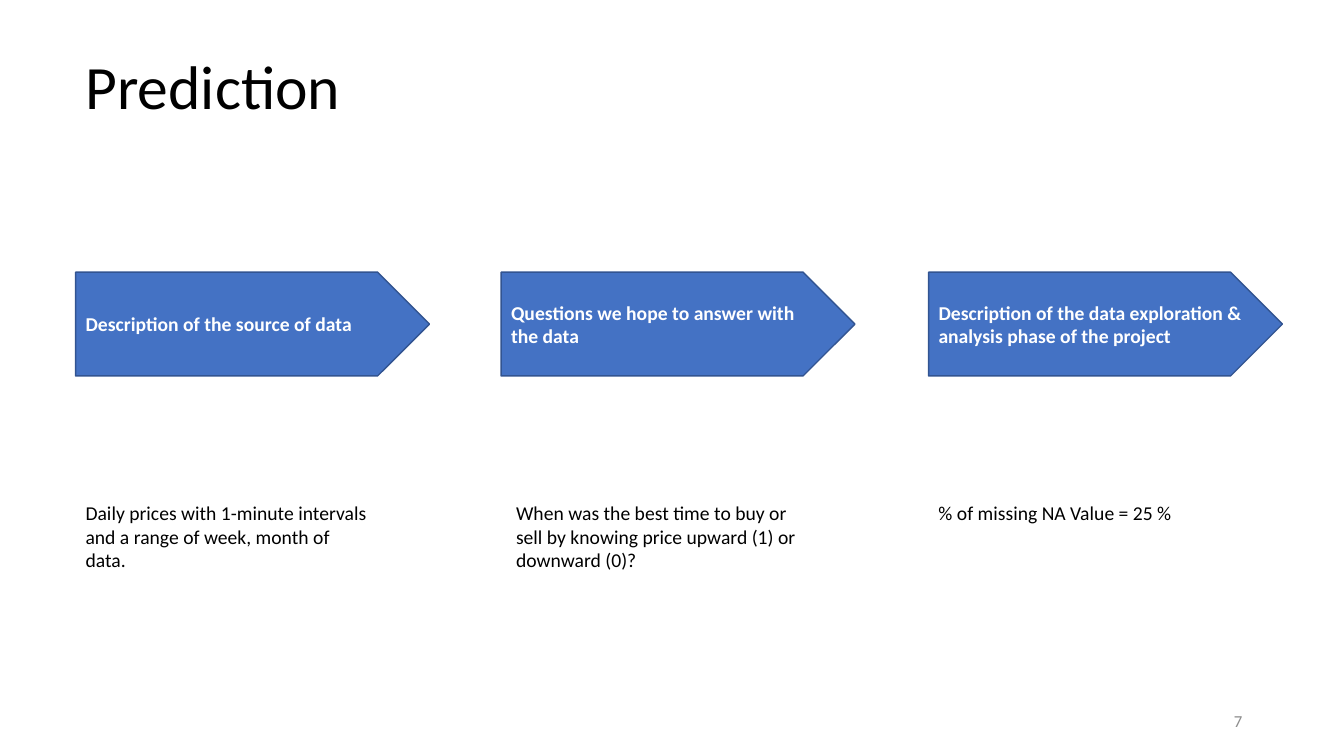
from pptx import Presentation
from pptx import util as u
from pptx.dml import color
from pptx.enum import shapes, text

HUES = {"blue": "4472C4", "edge": "325491", "white": "FFFFFF",
        "black": "000000", "gray": "8C8C8C"}
STEPS = [
    (0.75, "Description of the source of data", 0.75, 3.05,
     "Daily prices with 1-minute intervals and a range of week, month of data."),
    (4.97, "Questions we hope to answer with the data", 5.02, 3.13,
     "When was the best time to buy or sell by knowing price upward (1) or downward (0)?"),
    (9.21, "Description of the data exploration & analysis phase of the project", 9.21, 3.23,
     "% of missing NA Value = 25 %"),
]


def tint(name):
    """Return the named colour."""
    return color.RGBColor.from_string(HUES[name])


def write(shape, words, size, hue, bold=False, side="LEFT", anchor="TOP"):
    """Put one styled run of text into a shape."""
    frame = shape.text_frame
    frame.word_wrap = True
    frame.vertical_anchor = getattr(text.MSO_ANCHOR, anchor)
    para = frame.paragraphs[0]
    para.alignment = getattr(text.PP_ALIGN, side)
    run = para.add_run()
    run.text = words
    run.font.name = "Calibri"
    run.font.size = u.Pt(size)
    run.font.bold = bold
    run.font.color.rgb = tint(hue)


def label(slide, box, words, size, hue="black", **style):
    """Add a text box in the given box."""
    write(slide.shapes.add_textbox(*map(u.Inches, box)), words, size, hue, **style)


def arrow(slide, box, words):
    """Add a blue pentagon arrow with a bold heading."""
    shape = slide.shapes.add_shape(shapes.MSO_SHAPE.PENTAGON, *map(u.Inches, box))
    shape.shadow.inherit = False
    shape.fill.solid()
    shape.fill.fore_color.rgb = tint("blue")
    shape.line.color.rgb = tint("edge")
    shape.line.width = u.Pt(1)
    write(shape, words, 14, "white", bold=True, anchor="MIDDLE")


def steps(slide, top):
    """Place each arrow with its note below it."""
    for left, head, start, width, note in STEPS:
        arrow(slide, (left, top, 3.51, 1.03), head)
        label(slide, (start, top + 2.22, width, 0.81), note, 14)


def main():
    """Build and save the slide."""
    deck = Presentation()
    deck.slide_width, deck.slide_height = u.Inches(13.33), u.Inches(7.5)
    slide = deck.slides.add_slide(deck.slide_layouts[6])
    label(slide, (0.75, 0.43, 11.97, 0.84), "Prediction", 44)
    steps(slide, 2.7)
    label(slide, (9.42, 6.95, 3, 0.4), "7", 12, "gray", side="RIGHT", anchor="MIDDLE")
    deck.save("out.pptx")


if __name__ == "__main__":
    main()
